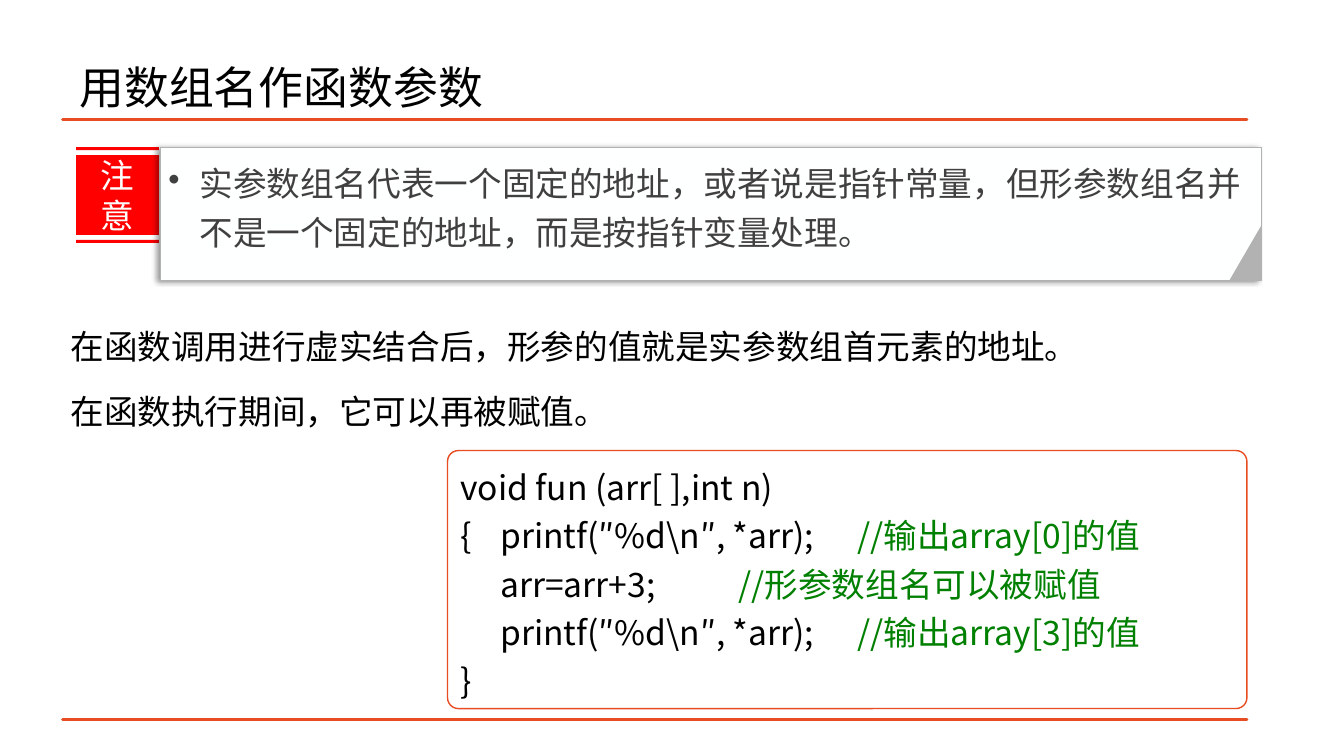
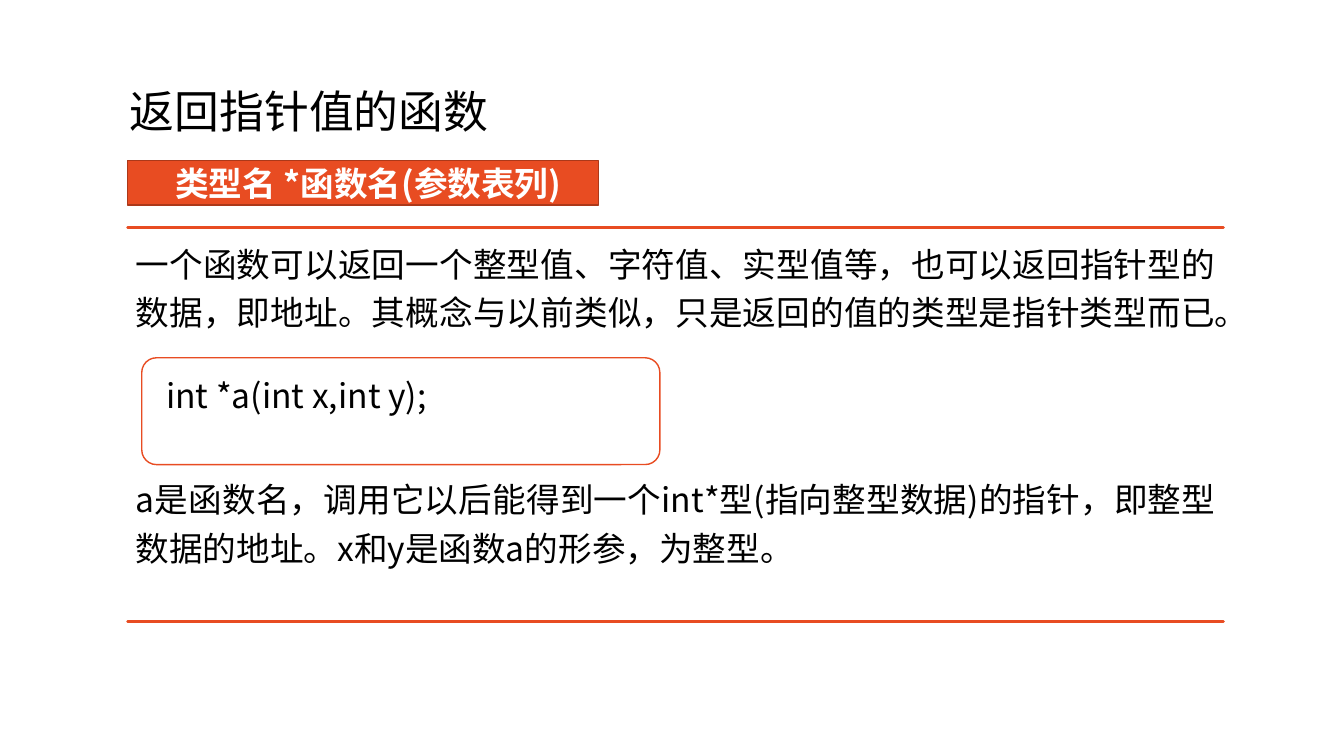
from lxml.etree import SubElement
from pptx import Presentation
from pptx.dml.color import RGBColor
from pptx.enum.shapes import MSO_SHAPE
from pptx.enum.text import MSO_ANCHOR, PP_ALIGN
from pptx.oxml.ns import qn
from pptx.util import Cm, Inches, Pt

FONT = "Noto Sans CJK SC"
BLACK = RGBColor(0x00, 0x00, 0x00)
WHITE = RGBColor(0xFF, 0xFF, 0xFF)
PAPER = RGBColor(0xFE, 0xFF, 0xFF)
ORANGE = RGBColor(0xE8, 0x4C, 0x22)
RUST = RGBColor(0xAC, 0x38, 0x19)
RED = RGBColor(0xFF, 0x00, 0x00)
GRAY = RGBColor(0xB2, 0xB2, 0xB2)
DARK = RGBColor(0x40, 0x40, 0x40)
GREEN = RGBColor(0x00, 0x80, 0x00)

WIDE, HIGH = Inches(40 / 3), Inches(7.5)
PAGE = (0, 0, WIDE, HIGH)
TEXT = {"size": Pt(24), "name": FONT}
LOOSE = {"line_spacing": 1.2}
EVEN = {**LOOSE, "alignment": PP_ALIGN.JUSTIFY, "space_after": Pt(6)}
MID = {"alignment": PP_ALIGN.CENTER}


def part(box, x, y, w, h):
    """Return the box given by percent shares of another box."""
    left, top, wide, high = box
    return (int(left + wide * x / 100), int(top + high * y / 100),
            int(wide * w / 100), int(high * h / 100))


def style(item, **vals):
    """Set the attributes of an item from format values."""
    for key, val in vals.items():
        setattr(item, key, val)


def frame(shape, pad=(0.1, 0.05, 0.1, 0.05), anchor=MSO_ANCHOR.TOP):
    """Ready the text frame of a shape and return it."""
    left, top, right, low = map(Inches, pad)
    style(shape.text_frame, word_wrap=True, vertical_anchor=anchor,
          margin_left=left, margin_top=top, margin_right=right, margin_bottom=low)
    return shape.text_frame


def write(text, lines, form, color=BLACK, **font):
    """Fill a text frame with lines of text or of (text, colour) runs."""
    for num, line in enumerate(lines):
        para = text.add_paragraph() if num else text.paragraphs[0]
        style(para, **form)
        for words, tint in [(line, color)] if isinstance(line, str) else line:
            run = para.add_run()
            run.text = words
            style(run.font, **{**TEXT, **font})
            run.font.color.rgb = tint
            SubElement(run.font._element, qn("a:ea"), typeface=FONT)


def paint(shape, fill=None, line=None, width=1):
    """Give a shape a flat fill and line, or none."""
    shape.shadow.inherit = False
    for side, color in ((shape.fill, fill), (shape.line.fill, line)):
        if color is None:
            side.background()
        else:
            side.solid()
            side.fore_color.rgb = color
    if line is not None:
        shape.line.width = Pt(width)
    return shape


def block(page, kind, box, *look):
    """Add a flat preset shape."""
    return paint(page.shapes.add_shape(kind, *box), *look)


def title(page, box, words):
    """Add the slide title."""
    text = frame(page.shapes.add_textbox(*box), anchor=MSO_ANCHOR.MIDDLE)
    write(text, [words], {"line_spacing": 0.9}, size=Pt(32))


def body(page, box, lines, gap, top=0.08):
    """Add justified text in a panel ruled along its top and bottom."""
    left, high, wide, tall = box
    pen = page.shapes.build_freeform(left, high + tall)
    pen.add_line_segments([(left + wide, high + tall)])
    pen.move_to(left, high)
    pen.add_line_segments([(left + wide, high)])
    panel = paint(pen.convert_to_shape(), None, ORANGE, 2)
    text = frame(panel, (0.08, top, 0.08, 0.08))
    write(text, lines, EVEN)
    for para in text.paragraphs[1:]:
        para.space_before = Pt(gap)


def tag(page, box, words):
    """Add the red label with a thin stripe above and below."""
    for y, high in ((0, 3.2), (8.4, 83.2), (96.8, 3.2)):
        bar = block(page, MSO_SHAPE.RECTANGLE, part(box, 0, y, 100, high), RED)
        if high > 50:
            write(frame(bar, (0.1, 0, 0.1, 0), MSO_ANCHOR.MIDDLE), [words], MID, PAPER)


def card(page, box, words):
    """Add the bulleted note card with its folded corner."""
    sheet = block(page, MSO_SHAPE.RECTANGLE, box, PAPER, GRAY, 0.75)
    glow = SubElement(sheet._element.spPr.find(qn("a:effectLst")), qn("a:outerShdw"),
                      blurRad=str(Pt(4)), dist=str(Pt(3)), dir="10800000",
                      algn="r", rotWithShape="0")
    tint = SubElement(glow, qn("a:srgbClr"), val=str(BLACK))
    SubElement(tint, qn("a:alpha"), val="40000")
    text = frame(sheet, (0.08,) * 4)
    write(text, [words], {**LOOSE, "alignment": PP_ALIGN.LEFT}, DARK)
    props = text.paragraphs[0]._p.get_or_add_pPr()
    props.set("marL", str(Inches(0.31)))
    props.set("indent", str(-Inches(0.31)))
    SubElement(props, qn("a:buChar"), char="•")
    fold = part(box, 96.06, 67.2, 5.04, 24.24)
    block(page, MSO_SHAPE.RIGHT_TRIANGLE, fold, GRAY).rotation = 270


def code(page, box, lines, bend, pad=0.1):
    """Add a rounded code panel from (code, note, note column in cm) rows."""
    panel = block(page, MSO_SHAPE.ROUNDED_RECTANGLE, box, WHITE, ORANGE)
    panel.adjustments[0] = bend
    text = frame(panel, (pad, 0.05, 0.1, 0.05))
    rows = [[(words, BLACK)] + ([("\t" + note, GREEN)] if note else [])
            for words, note, _ in lines]
    write(text, rows, {**LOOSE, "alignment": PP_ALIGN.LEFT})
    for para, (_, note, col) in zip(text.paragraphs, lines):
        if note:
            tabs = SubElement(para._p.get_or_add_pPr(), qn("a:tabLst"))
            for stop in (1, col):
                SubElement(tabs, qn("a:tab"), pos=str(Cm(stop)), algn="l")


def banner(page, box, words):
    """Add the orange syntax bar."""
    bar = block(page, MSO_SHAPE.RECTANGLE, box, ORANGE, RUST)
    text = frame(bar, (0.2, 0.05, 0.1, 0.05), MSO_ANCHOR.MIDDLE)
    write(text, [words], MID, WHITE, bold=True)


def array(page):
    """Build the slide on array names as arguments."""
    title(page, part(PAGE, 5.18, 4.93, 86.25, 13.87), "用数组名作函数参数")
    body(page, part(PAGE, 4.65, 15.77, 88.13, 79.43), [
        "在函数调用进行虚实结合后，形参的值就是实参数组首元素的地址。",
        "在函数执行期间，它可以再被赋值。"], 6, 1.97)
    tag(page, part(PAGE, 5.67, 19.47, 6.15, 12.67), "注意")
    card(page, part(PAGE, 11.93, 19.47, 81.9, 17.6),
         "实参数组名代表一个固定的地址，或者说是指针常量，"
         "但形参数组名并不是一个固定的地址，而是按指针变量处理。")
    show = "\tprintf(″%d\\n″, *arr);"
    code(page, part(PAGE, 33.3, 59.6, 59.48, 34.13), [
        ("void fun (arr[ ],int n)", "", 0),
        ("{" + show, "//输出array[0]的值", 10),
        ("\tarr=arr+3;", "//形参数组名可以被赋值", 7),
        (show, "//输出array[3]的值", 10),
        ("}", "", 0)], 0.042)


def pointer(page):
    """Build the slide on functions that return pointers."""
    title(page, part(PAGE, 8.93, 5.4, 59.33, 19.33), "返回指针值的函数")
    banner(page, part(PAGE, 9.5, 21.27, 35.03, 5.87), "类型名 *函数名(参数表列)")
    body(page, part(PAGE, 9.5, 30.13, 81.53, 52.05), [
        "一个函数可以返回一个整型值、字符值、实型值等，也可以返回指针型的数据，"
        "即地址。其概念与以前类似，只是返回的值的类型是指针类型而已。",
        "a是函数名，调用它以后能得到一个int*型(指向整型数据)的指针，"
        "即整型数据的地址。x和y是函数a的形参，为整型。"], 93)
    code(page, part(PAGE, 10.55, 47.33, 38.55, 14.13),
         [("int *a(int x,int y);", "", 0)], 0.138, 0.2)


def main():
    """Build and save the deck."""
    deck = Presentation()
    style(deck, slide_width=WIDE, slide_height=HIGH)
    for build in (array, pointer):
        build(deck.slides.add_slide(deck.slide_layouts[6]))
    deck.save("out.pptx")


if __name__ == "__main__":
    main()
